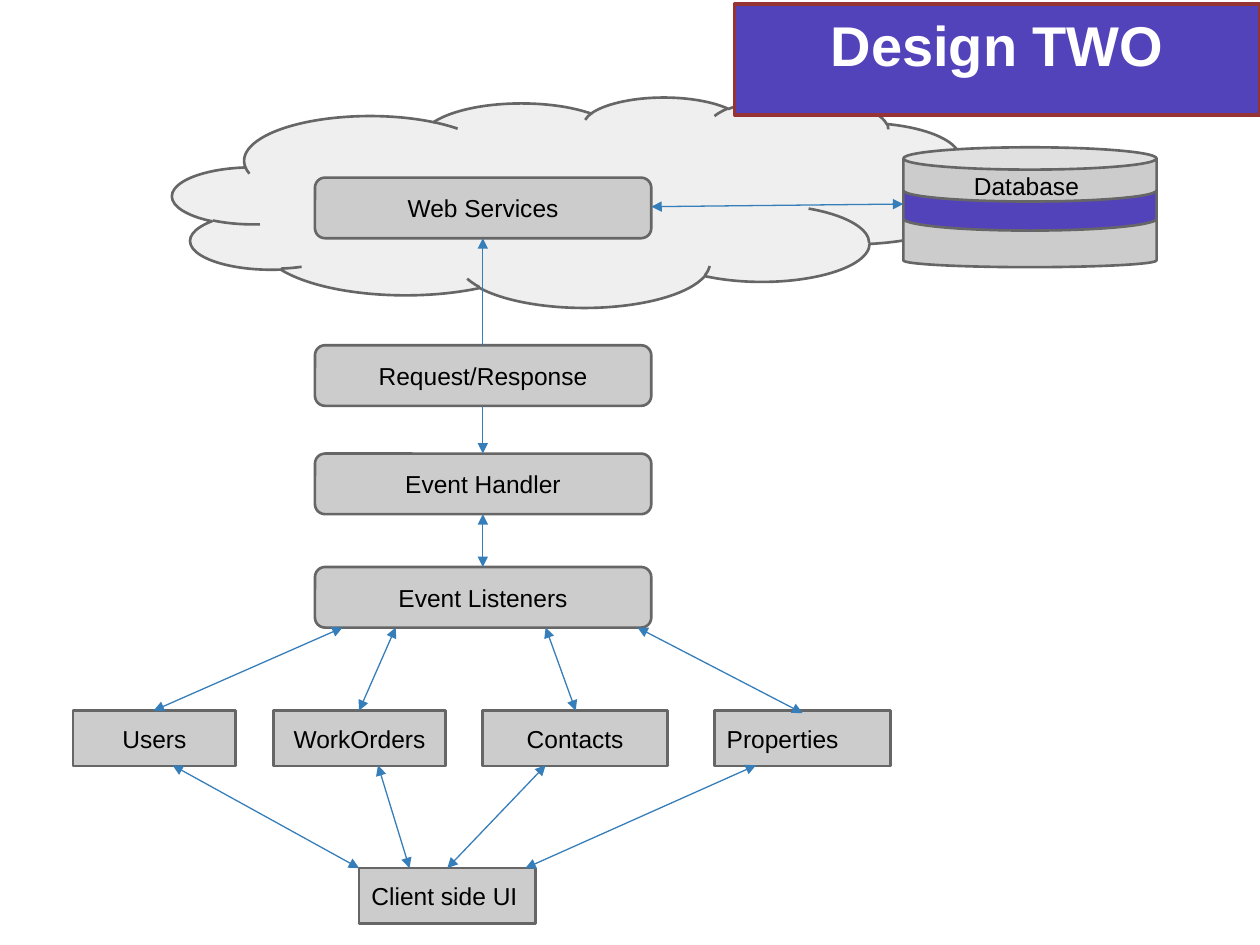
from lxml import etree
from pptx import Presentation
from pptx.dml.color import RGBColor
from pptx.enum import shapes, text
from pptx.oxml import ns
from pptx.util import Pt

WHITE = RGBColor(0xFF, 0xFF, 0xFF)
BLACK = RGBColor(0, 0, 0)
PALE = RGBColor(0xEF, 0xEF, 0xEF)
GREY = RGBColor(0xCC, 0xCC, 0xCC)
DARK = RGBColor(0x66, 0x66, 0x66)
PURPLE = RGBColor(0x52, 0x43, 0xBB)
RED = RGBColor(0x96, 0x33, 0x34)
BLUE = RGBColor(0x36, 0x7E, 0xB9)

KIND = shapes.MSO_SHAPE
MID, TOP = text.MSO_ANCHOR.MIDDLE, text.MSO_ANCHOR.TOP
LEFT, CENTER = text.PP_ALIGN.LEFT, text.PP_ALIGN.CENTER

deck = Presentation()
deck.slide_width, deck.slide_height = Pt(720), Pt(540)
slide = deck.slides.add_slide(deck.slide_layouts[6])


def add_box(kind, spot, fill=GREY, line=DARK, width=1.5, adj=None):
    box = slide.shapes.add_shape(kind, *map(Pt, spot))
    box.shadow.inherit = False
    box.fill.solid()
    box.fill.fore_color.rgb = fill
    box.line.color.rgb = line
    box.line.width = Pt(width)
    if adj is not None:
        box.adjustments[0] = adj
    return box


def write(box, words, align=CENTER, anchor=MID, pad=(7.2, 7.2),
          size=14, color=BLACK, bold=False):
    frame = box.text_frame
    form = {"word_wrap": True, "vertical_anchor": anchor,
            "margin_left": Pt(pad[0]), "margin_right": Pt(pad[0]),
            "margin_top": Pt(pad[1]), "margin_bottom": Pt(pad[1])}
    for key, value in form.items():
        setattr(frame, key, value)
    para = frame.paragraphs[0]
    para.alignment = align
    run = para.add_run()
    run.text = words
    for key, value in {"name": "Arial", "size": Pt(size), "bold": bold}.items():
        setattr(run.font, key, value)
    run.font.color.rgb = color


# Cloud and title
add_box(KIND.CLOUD, (98.6, 55.4, 460.1, 120.2), PALE)
title = add_box(KIND.RECTANGLE, (419.8, 2.2, 300.2, 63.4), PURPLE, RED, 2)
write(title, "Design TWO", anchor=TOP, pad=(7.2, 3.6),
      size=32, color=WHITE, bold=True)

# Database: three stacked discs and a label
for top, fill, adj in ((121.7, GREY, 0.25), (100.8, PURPLE, 0.443),
                       (84.2, GREY, 0.412)):
    add_box(KIND.CAN, (516.2, top, 144.7, 31), fill, adj=adj)
label = slide.shapes.add_textbox(Pt(549.4), Pt(90.7), Pt(77.8), Pt(27.4))
write(label, "Database", LEFT, TOP)

# Service layers
for words, top in (("Web Services", 101.5), ("Request/Response", 197.3),
                   ("Event Handler", 259.2), ("Event Listeners", 324)):
    layer = add_box(KIND.ROUNDED_RECTANGLE, (180, top, 192.2, 34.6), adj=0.167)
    write(layer, words)

# Modules and client
ROW, BASE = 406.1, 496.1
for words, left, top, width, align in (
        ("Users", 41.8, ROW, 92.9, CENTER),
        ("WorkOrders", 156.2, ROW, 98.6, CENTER),
        ("Contacts", 275.8, ROW, 105.8, CENTER),
        ("Properties", 408.2, ROW, 100.8, LEFT),
        ("Client side UI", 205.2, BASE, 100.8, LEFT)):
    write(add_box(KIND.RECTANGLE, (left, top, width, 31.7)), words, align)

# Arrows: start, end, arrowhead at both ends
MAIN, FOOT, UNDER = 275.9, 358.6, 437.3
arrows = [((372.2, 118.1), (516.2, 116.6), True),
          ((MAIN, 197.3), (MAIN, 136.1), False),
          ((MAIN, 232.2), (MAIN, 259.2), False),
          ((MAIN, 324), (MAIN, 293.8), True)]
arrows += [((low, y), (high, FOOT), True) for low, y, high in (
    (87.8, ROW, 195.8), (205.2, ROW, 226.1),
    (329, ROW, 311.8), (458.6, 407.5, 364.3))]
arrows += [((low, BASE), (high, UNDER), True) for low, high in (
    (205.2, 98.6), (234, 216), (255.6, 311.8), (300.2, 432))]

for start, end, both in arrows:
    arrow = slide.shapes.add_connector(
        shapes.MSO_CONNECTOR.STRAIGHT, *map(Pt, start + end))
    arrow.line.color.rgb = BLUE
    arrow.line.width = Pt(0.75)
    line = arrow.line._get_or_add_ln()
    for tag in ("a:headEnd", "a:tailEnd") if both else ("a:tailEnd",):
        etree.SubElement(line, ns.qn(tag), type="triangle")
    etree.SubElement(arrow._element.spPr, ns.qn("a:effectLst"))

deck.save("out.pptx")
